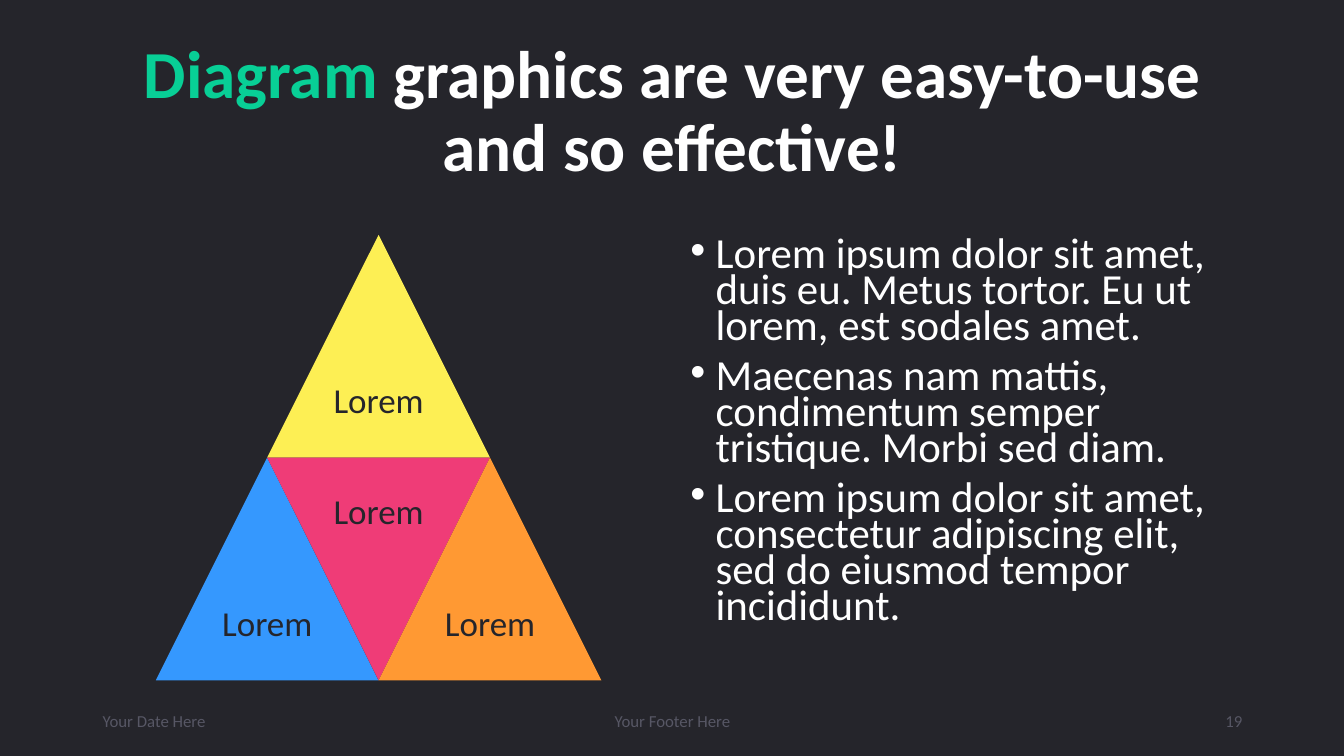
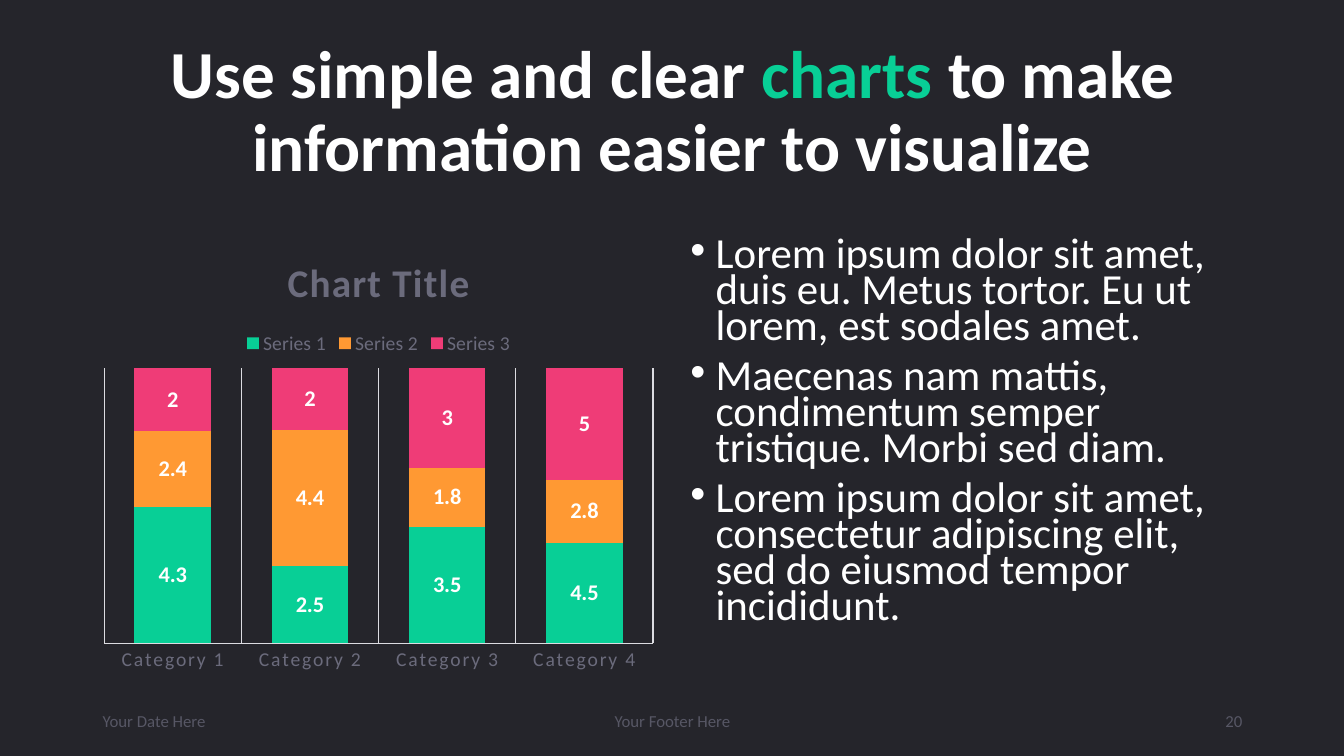
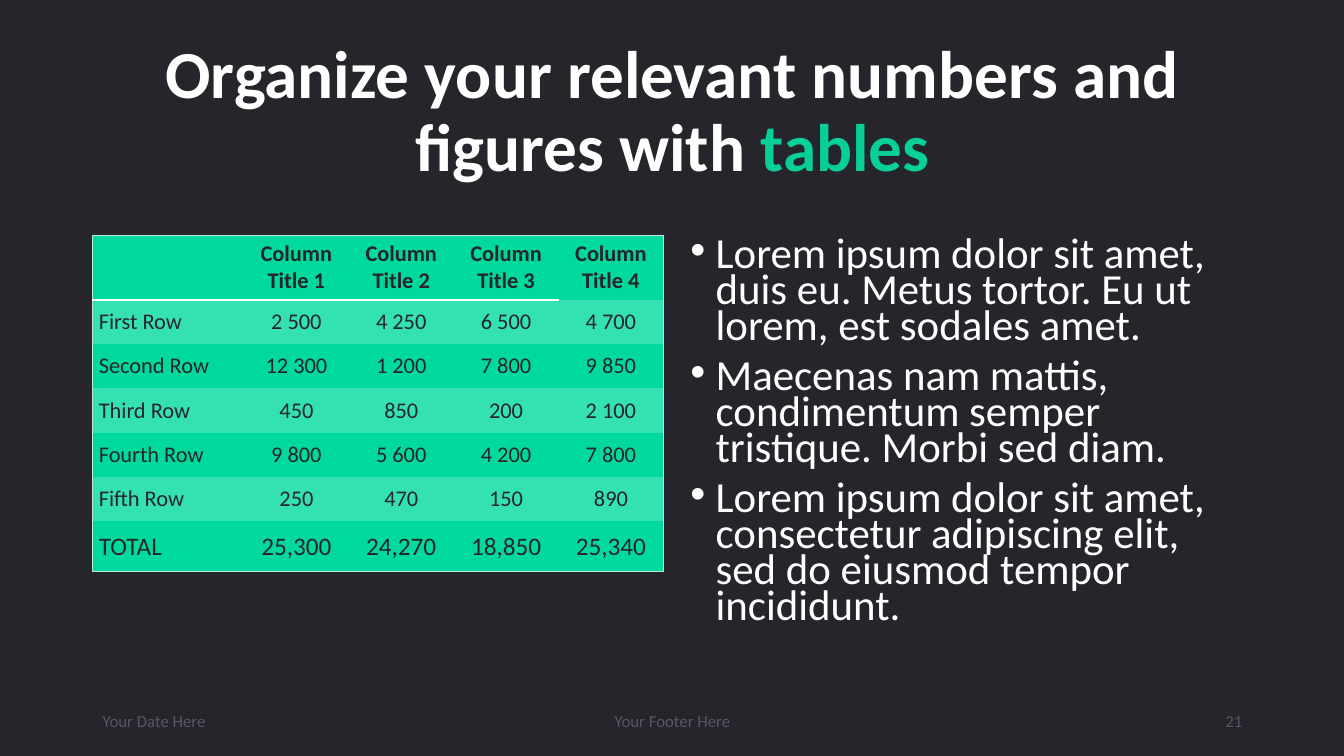
from dataclasses import dataclass

from lxml import etree
from pptx import Presentation
from pptx.chart.data import CategoryChartData
from pptx.dml.color import RGBColor
from pptx.enum.chart import XL_CHART_TYPE, XL_LABEL_POSITION, XL_LEGEND_POSITION, XL_TICK_MARK
from pptx.enum.shapes import MSO_SHAPE
from pptx.enum.text import MSO_ANCHOR, MSO_AUTO_SIZE, PP_ALIGN
from pptx.oxml.ns import qn
from pptx.util import Inches, Pt

TRIANGLE = MSO_SHAPE.ISOSCELES_TRIANGLE
STACKED_100 = XL_CHART_TYPE.COLUMN_STACKED_100
LABEL_CENTER = XL_LABEL_POSITION.CENTER
LEGEND_TOP = XL_LEGEND_POSITION.TOP
NO_TICK = XL_TICK_MARK.NONE
MIDDLE, TOP = MSO_ANCHOR.MIDDLE, MSO_ANCHOR.TOP
NO_FIT = MSO_AUTO_SIZE.NONE
LEFT, CENTER, RIGHT = PP_ALIGN.LEFT, PP_ALIGN.CENTER, PP_ALIGN.RIGHT

DARK = RGBColor(0x25, 0x25, 0x2B)
WHITE = RGBColor(0xFF, 0xFF, 0xFF)
GREEN = RGBColor(0x08, 0xCF, 0x96)
YELLOW = RGBColor(0xFD, 0xEF, 0x54)
BLUE = RGBColor(0x35, 0x98, 0xFE)
PINK = RGBColor(0xEF, 0x3C, 0x77)
ORANGE = RGBColor(0xFF, 0x99, 0x33)
FOOTER_GRAY = RGBColor(0x57, 0x57, 0x65)
CHART_GRAY = RGBColor(0x6B, 0x6B, 0x7C)
GRID_GRAY = RGBColor(0xDC, 0xDC, 0xE1)
TABLE_GREEN = RGBColor(0x00, 0xD9, 0x9D)
BAND_GREEN = RGBColor(0x33, 0xE1, 0xB1)
TABLE_FRAME = RGBColor(0xBD, 0xE9, 0xD3)

FONT = "Calibri"
PLAIN_TABLE_STYLE = "{2D5ABB26-0587-4C30-8999-92F81FD0307C}"


@dataclass
class Box:
    left: float
    top: float
    width: float
    height: float

    def emu(self):
        return [Inches(v) for v in (self.left, self.top, self.width, self.height)]


TITLE_BOX = Box(0.92, 0.4, 11.5, 1.45)
VISUAL_BOX = Box(0.92, 2.33, 5.67, 4.42)
BODY_BOX = Box(6.75, 2.33, 5.67, 4.42)
FOOTERS = [
    ("Your Date Here", Box(0.92, 6.95, 3, 0.4), LEFT),
    ("Your Footer Here", Box(4.42, 6.95, 4.5, 0.4), CENTER),
]
NUMBER_BOX = Box(9.42, 6.95, 3, 0.4)

BODY_POINTS = [
    "Lorem ipsum dolor sit amet, duis eu. Metus tortor. Eu ut lorem, est sodales amet.",
    "Maecenas nam mattis, condimentum semper tristique. Morbi sed diam.",
    "Lorem ipsum dolor sit amet, consectetur adipiscing elit, sed do eiusmod tempor incididunt.",
]

CATEGORIES = [f"Category {n}" for n in range(1, 5)]
SERIES = [
    ("Series 1", (4.3, 2.5, 3.5, 4.5), GREEN),
    ("Series 2", (2.4, 4.4, 1.8, 2.8), ORANGE),
    ("Series 3", (2, 2, 3, 5), PINK),
]

TABLE_ROWS = [
    ["", *(f"Column Title {n}" for n in range(1, 5))],
    ["First Row", "2 500", "4 250", "6 500", "4 700"],
    ["Second Row", "12 300", "1 200", "7 800", "9 850"],
    ["Third Row", "450", "850", "200", "2 100"],
    ["Fourth Row", "9 800", "5 600", "4 200", "7 800"],
    ["Fifth Row", "250", "470", "150", "890"],
    ["TOTAL", "25,300", "24,270", "18,850", "25,340"],
]
COLUMN_WIDTHS = [1.5] + [1.04] * 4
ROW_HEIGHTS = [0.64] + [0.44] * 5 + [0.5]


def apply(target, formats):
    for name, value in formats.items():
        setattr(target, name, value)


def style_font(font, size, color, bold=False):
    apply(font, {"name": FONT, "size": Pt(size), "bold": bold})
    font.color.rgb = color


def write(paragraph, runs, size, bold=False, **formats):
    apply(paragraph, formats)
    for text, color in runs:
        run = paragraph.add_run()
        run.text = text
        style_font(run.font, size, color, bold)


def add_text_box(slide, box, anchor, **formats):
    frame = slide.shapes.add_textbox(*box.emu()).text_frame
    apply(frame, {"word_wrap": True, "auto_size": NO_FIT, "vertical_anchor": anchor, **formats})
    return frame


def add_title(slide, box, runs):
    title = slide.shapes.title
    apply(title, dict(zip(("left", "top", "width", "height"), box.emu())))
    frame = title.text_frame
    apply(frame, {"word_wrap": True, "auto_size": NO_FIT, "vertical_anchor": MIDDLE})
    write(frame.paragraphs[0], runs, 48, True, alignment=CENTER, line_spacing=0.9)


def add_body(slide, box):
    frame = add_text_box(slide, box, TOP)
    for index, point in enumerate(BODY_POINTS):
        paragraph = frame.add_paragraph() if index else frame.paragraphs[0]
        write(paragraph, [(point, WHITE)], 30.6, line_spacing=0.7, space_before=Pt(10))
        properties = paragraph._p.get_or_add_pPr()
        properties.set("marL", str(Inches(0.25)))
        properties.set("indent", str(-Inches(0.25)))
        etree.SubElement(properties, qn("a:buFont"), typeface="Arial")
        etree.SubElement(properties, qn("a:buChar"), char="•")


def add_footers(slide, number):
    for text, box, alignment in FOOTERS + [(str(number), NUMBER_BOX, RIGHT)]:
        frame = add_text_box(slide, box, MIDDLE)
        write(frame.paragraphs[0], [(text, FOOTER_GRAY)], 12, alignment=alignment)


def add_pyramid(slide, box):
    side = box.height / 2
    half = side / 2
    center = box.left + box.width / 2
    tiles = [
        (center - half, 0, YELLOW, False),
        (center - side, side, BLUE, False),
        (center - half, side, PINK, True),
        (center, side, ORANGE, False),
    ]
    for left, offset, color, inverted in tiles:
        top = box.top + offset
        tile = slide.shapes.add_shape(TRIANGLE, *Box(left, top, side, side).emu())
        tile.shadow.inherit = False
        tile.rotation = 180 if inverted else 0
        tile.fill.solid()
        tile.fill.fore_color.rgb = color
        tile.line.fill.background()
        label_top = top if inverted else top + half
        frame = add_text_box(slide, Box(left + half / 2, label_top, half, half), MIDDLE,
                             margin_left=Inches(0.05), margin_right=Inches(0.05))
        write(frame.paragraphs[0], [("Lorem", DARK)], 25, alignment=CENTER, line_spacing=0.9)


def add_stacked_chart(slide, box):
    data = CategoryChartData()
    data.categories = CATEGORIES
    for name, values, _ in SERIES:
        data.add_series(name, values)
    chart = slide.shapes.add_chart(STACKED_100, *box.emu(), data).chart
    style_font(chart.font, 10, DARK)

    chart.has_title = True
    write(chart.chart_title.text_frame.paragraphs[0], [("Chart Title", CHART_GRAY)], 28, True)
    chart.has_legend = True
    apply(chart.legend, {"position": LEGEND_TOP, "include_in_layout": False})
    style_font(chart.legend.font, 14, CHART_GRAY)

    apply(chart.value_axis, {"visible": False, "has_major_gridlines": False})
    axis = chart.category_axis
    apply(axis, {"has_major_gridlines": True, "major_tick_mark": NO_TICK,
                 "minor_tick_mark": NO_TICK})
    style_font(axis.tick_labels.font, 14, CHART_GRAY)
    for line in (axis.format.line, axis.major_gridlines.format.line):
        line.color.rgb = GRID_GRAY
        line.width = Pt(0.75)
    for query, spacing in ((".//c:title//a:rPr", "100"), (".//c:catAx//a:defRPr", "120")):
        for properties in chart.element.xpath(query):
            properties.set("spc", spacing)

    plot = chart.plots[0]
    apply(plot, {"gap_width": 79, "overlap": 100, "vary_by_categories": False})
    for series, (_, _, color) in zip(plot.series, SERIES):
        series.format.fill.solid()
        series.format.fill.fore_color.rgb = color
        labels = series.data_labels
        apply(labels, {"show_value": True, "position": LABEL_CENTER})
        style_font(labels.font, 16, WHITE, True)


def add_border(cell, side, color, width):
    properties = cell._tc.get_or_add_tcPr()
    line = etree.SubElement(properties, qn(f"a:ln{side}"), w=str(Pt(width)))
    fill = etree.SubElement(line, qn("a:solidFill"))
    etree.SubElement(fill, qn("a:srgbClr"), val=str(color))


def add_figures_table(slide, box):
    last_row, last_column = len(TABLE_ROWS) - 1, len(COLUMN_WIDTHS) - 1
    holder = slide.shapes.add_table(last_row + 1, last_column + 1, *box.emu())
    holder.element.xpath(".//a:tableStyleId")[0].text = PLAIN_TABLE_STYLE
    table = holder.table
    apply(table, {"first_row": False, "horz_banding": False})
    for column, width in zip(table.columns, COLUMN_WIDTHS):
        column.width = Inches(width)
    for row, height in zip(table.rows, ROW_HEIGHTS):
        row.height = Inches(height)

    for r, texts in enumerate(TABLE_ROWS):
        for c, text in enumerate(texts):
            cell = table.cell(r, c)
            apply(cell, {"vertical_anchor": MIDDLE, "margin_left": Inches(0.06),
                         "margin_right": Inches(0.06)})
            outer_sides = {"L": c == 0, "R": c == last_column, "T": r == 0, "B": r == last_row}
            for side, is_outer in outer_sides.items():
                if is_outer:
                    add_border(cell, side, TABLE_FRAME, 0.5)
            if r == 0 and c < last_column:
                add_border(cell, "B", WHITE, 1.5)
            cell.fill.solid()
            cell.fill.fore_color.rgb = BAND_GREEN if r % 2 else TABLE_GREEN
            if text:
                write(cell.text_frame.paragraphs[0], [(text, DARK)],
                      18 if r == last_row else 16, r == 0, alignment=CENTER if c else LEFT)


def add_content_slide(deck, number, title_runs, add_visual):
    slide = deck.slides.add_slide(deck.slide_layouts.get_by_name("Title Only"))
    slide.background.fill.solid()
    slide.background.fill.fore_color.rgb = DARK
    add_title(slide, TITLE_BOX, title_runs)
    add_visual(slide, VISUAL_BOX)
    add_body(slide, BODY_BOX)
    add_footers(slide, number)


SLIDES = [
    ([("Diagram", GREEN), (" graphics are very easy-to-use and so effective!", WHITE)],
     add_pyramid),
    ([("Use simple and clear ", WHITE), ("charts", GREEN),
      (" to make information easier to visualize", WHITE)], add_stacked_chart),
    ([("Organize your relevant numbers and figures with ", WHITE), ("tables", GREEN)],
     add_figures_table),
]

deck = Presentation()
deck.slide_width, deck.slide_height = Inches(13.33), Inches(7.5)
for number, (title_runs, add_visual) in enumerate(SLIDES, start=19):
    add_content_slide(deck, number, title_runs, add_visual)
deck.save("out.pptx")
